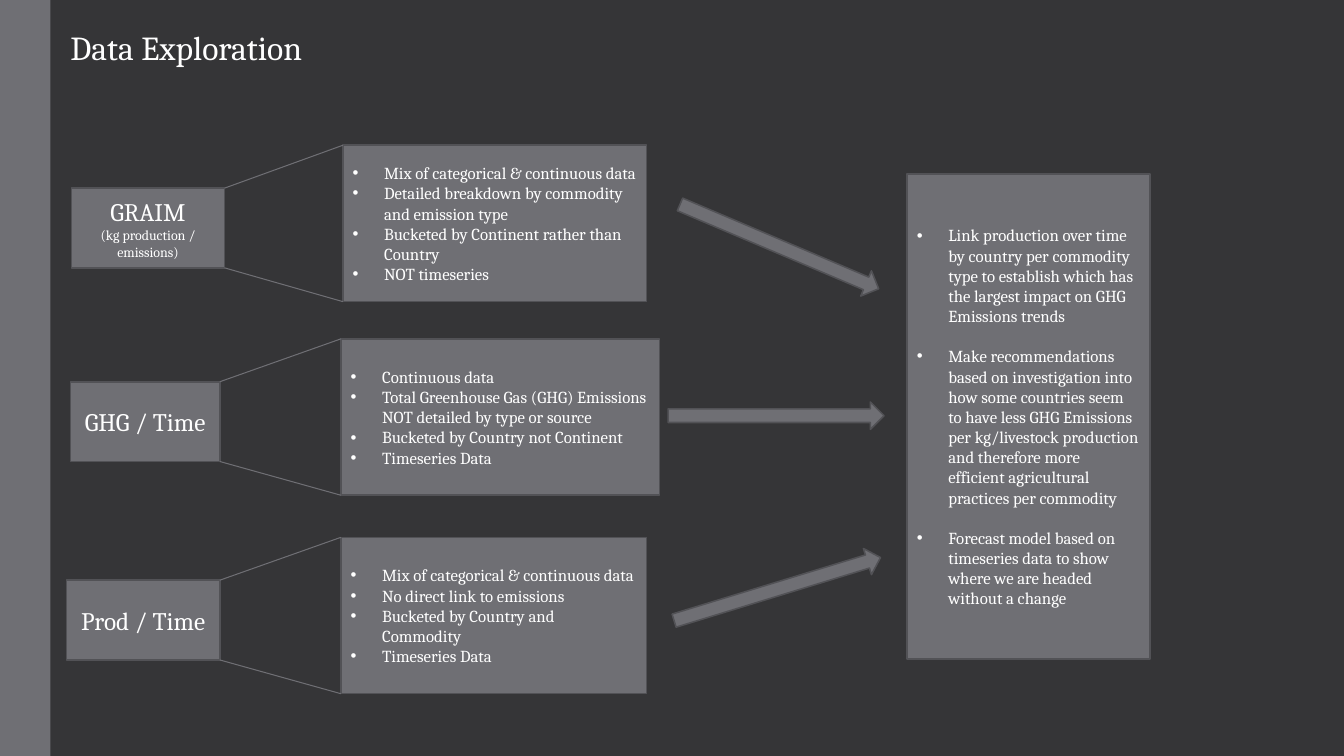
from collections import namedtuple

from lxml import etree
from pptx import Presentation
from pptx import util as u
from pptx.dml.color import RGBColor
from pptx.enum import shapes, text
from pptx.oxml import ns

Box = namedtuple("Box", "left top width height")

FONT = "Cambria"
WHITE, GREY, EDGE, DARK = "FFFFFF", "6F6F74", "525256", "353537"
LABEL_HEIGHT, DETAIL_HEIGHT, LABEL_DROP = 2.01, 3.94, 1.08
ARROW_WIDTH, ARROW_HEIGHT = 5.44, 0.69
INDENT = 0.79

SOURCES = [
    {
        "label": [("GRAIM", 18), ("(kg production / emissions)", 10)],
        "label_span": (1.8, 3.86),
        "detail": Box(8.64, 3.66, 7.65, DETAIL_HEIGHT),
        "points": [
            "Mix of categorical & continuous data",
            "Detailed breakdown by commodity and emission type",
            "Bucketed by Continent rather than Country",
            "NOT timeseries",
        ],
        "arrow": (16.92, 5.87, 23),
    },
    {
        "label": [("GHG / Time", 18)],
        "label_span": (1.78, 3.76),
        "detail": Box(8.59, 8.54, 8.03, DETAIL_HEIGHT),
        "points": [
            "Continuous data",
            "Total Greenhouse Gas (GHG) Emissions NOT detailed by type or source",
            "Bucketed by Country not Continent",
            "Timeseries Data",
        ],
        "arrow": (16.84, 10.13, 0),
    },
    {
        "label": [("Prod / Time", 18)],
        "label_span": (1.68, 3.86),
        "detail": Box(8.59, 13.54, 7.7, DETAIL_HEIGHT),
        "points": [
            "Mix of categorical & continuous data",
            "No direct link to emissions",
            "Bucketed by Country and Commodity",
            "Timeseries Data",
        ],
        "arrow": (16.87, 14.5, 343),
    },
]

GOALS = [
    "Link production over time by country per commodity type to establish "
    "which has the largest impact on GHG Emissions trends",
    "Make recommendations based on investigation into how some countries "
    "seem to have less GHG Emissions per kg/livestock production and "
    "therefore more efficient agricultural practices per commodity",
    "Forecast model based on timeseries data to show where we are headed "
    "without a change",
]


def color(value):
    return RGBColor.from_string(value)


def apply(target, formats):
    for name, value in formats.items():
        setattr(target, name, value)


def add_panel(page, box, kind=shapes.MSO_SHAPE.RECTANGLE):
    panel = page.shapes.add_shape(kind, *map(u.Cm, box))
    panel.shadow.inherit = False
    panel.fill.solid()
    panel.fill.fore_color.rgb = color(GREY)
    panel.line.color.rgb = color(EDGE)
    panel.line.width = u.Pt(1.1)
    return panel


def write(frame, lines, align, anchor=text.MSO_ANCHOR.MIDDLE):
    apply(frame, {"word_wrap": True, "vertical_anchor": anchor,
                  "auto_size": text.MSO_AUTO_SIZE.NONE})
    for index, (words, size) in enumerate(lines):
        para = frame.add_paragraph() if index else frame.paragraphs[0]
        para.alignment = align
        span = para.add_run()
        span.text = words
        apply(span.font, {"name": FONT, "size": u.Pt(size)})
        span.font.color.rgb = color(WHITE)


def add_bullet_panel(page, box, points, gap=0):
    frame = add_panel(page, box).text_frame
    write(frame, [(point, 12) for point in points], text.PP_ALIGN.LEFT)
    for index, para in enumerate(frame.paragraphs):
        para.space_before = u.Pt(gap if index else 0)
        settings = para._p.get_or_add_pPr()
        settings.set("marL", str(u.Cm(INDENT)))
        settings.set("indent", str(-u.Cm(INDENT)))
        etree.SubElement(settings, ns.qn("a:buFont")).set("typeface", "Arial")
        etree.SubElement(settings, ns.qn("a:buChar")).set("char", "•")


def add_guide(page, start, end):
    guide = page.shapes.add_connector(
        shapes.MSO_CONNECTOR.STRAIGHT, *map(u.Cm, start + end))
    guide.line.color.rgb = color(GREY)
    guide.line.width = u.Pt(0.75)
    etree.SubElement(guide._element.spPr, ns.qn("a:effectLst"))


def add_source(page, source):
    detail = source["detail"]
    left, width = source["label_span"]
    label = Box(left, detail.top + LABEL_DROP, width, LABEL_HEIGHT)
    write(add_panel(page, label).text_frame, source["label"],
          text.PP_ALIGN.CENTER)
    add_bullet_panel(page, detail, source["points"])
    for share in (0, 1):
        add_guide(page,
                  (detail.left, detail.top + share * detail.height),
                  (label.left + label.width, label.top + share * label.height))
    arrow_left, arrow_top, angle = source["arrow"]
    arrow = add_panel(
        page, Box(arrow_left, arrow_top, ARROW_WIDTH, ARROW_HEIGHT),
        shapes.MSO_SHAPE.RIGHT_ARROW)
    arrow.rotation = angle


def add_backdrop(page, box):
    page.background.fill.solid()
    page.background.fill.fore_color.rgb = color(DARK)
    add_panel(page, box).line.fill.background()


def add_title(page, box):
    title = page.shapes.title
    apply(title, {name: u.Cm(value) for name, value in box._asdict().items()})
    write(title.text_frame, [("Data Exploration", 24)], text.PP_ALIGN.LEFT,
          text.MSO_ANCHOR.TOP)


def main():
    deck = Presentation()
    apply(deck, {"slide_width": u.Cm(33.87), "slide_height": u.Cm(19.05)})
    page = deck.slides.add_slide(deck.slide_layouts[5])
    add_backdrop(page, Box(0, 0, 1.27, 19.05))
    add_title(page, Box(1.52, 0.56, 15.88, 1.27))
    for source in SOURCES:
        add_source(page, source)
    add_bullet_panel(page, Box(22.86, 4.39, 6.12, 12.22), GOALS, gap=14.4)
    deck.save("out.pptx")


if __name__ == "__main__":
    main()
